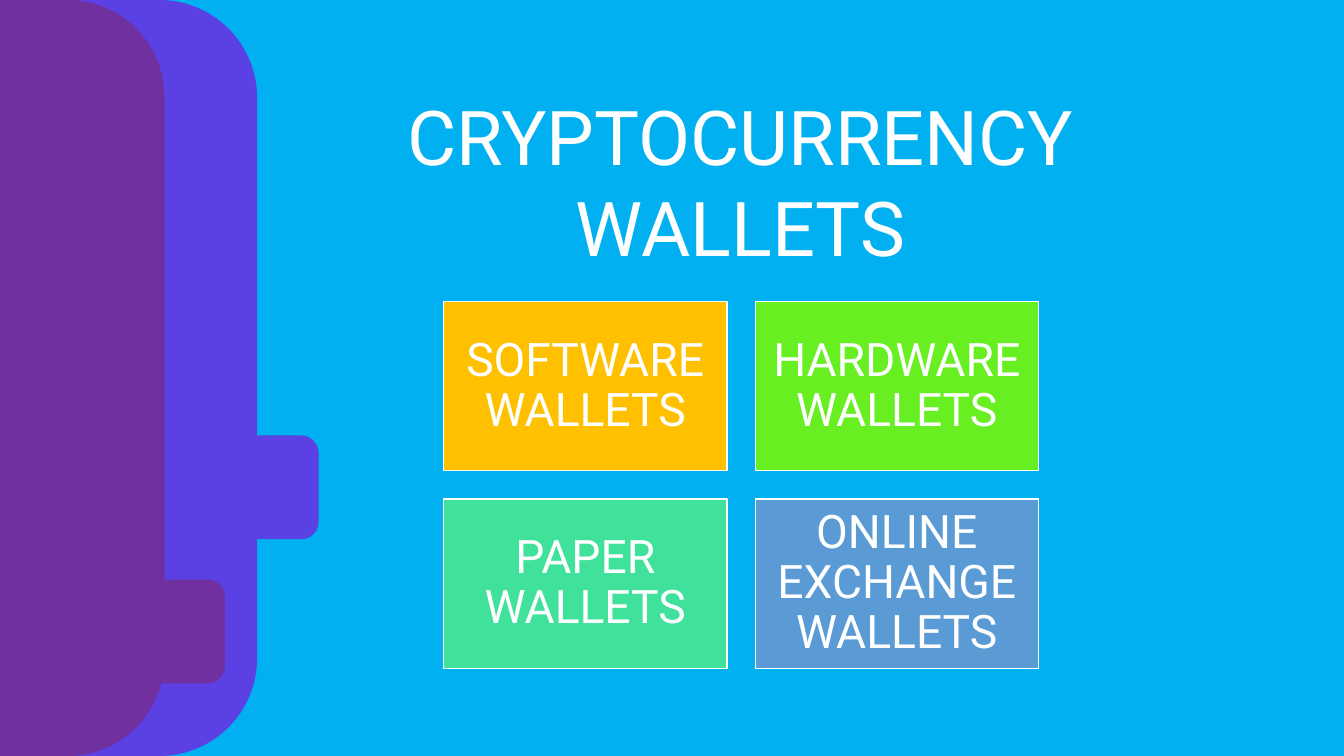
from dataclasses import dataclass

from pptx import Presentation
from pptx.dml.color import RGBColor
from pptx.enum.shapes import MSO_SHAPE
from pptx.enum.text import MSO_ANCHOR, MSO_AUTO_SIZE, PP_ALIGN
from pptx.util import Inches, Pt


@dataclass(frozen=True)
class Theme:
    font: str = "Roboto"
    title_size: int = 54
    card_size: int = 33
    text: str = "FFFFFF"
    background: str = "00B0F0"
    back_panel: str = "5B40E3"
    front_panel: str = "7030A0"
    software: str = "FFC000"
    hardware: str = "67EF21"
    paper: str = "3FE19B"
    online: str = "5B9BD5"


THEME = Theme()

CARDS = [
    ("SOFTWARE WALLETS", THEME.software),
    ("HARDWARE WALLETS", THEME.hardware),
    ("PAPER WALLETS", THEME.paper),
    ("ONLINE EXCHANGE WALLETS", THEME.online),
]
COLUMNS = 2
CARD_LEFT, CARD_TOP = 4.4, 2.99
CARD_WIDTH, CARD_HEIGHT, CARD_GAP = 2.81, 1.68, 0.28


def add_filled(slide, preset, box, color):
    shape = slide.shapes.add_shape(preset, *(Inches(length) for length in box))
    shape.shadow.inherit = False
    shape.fill.solid()
    shape.fill.fore_color.rgb = RGBColor.from_string(color)
    shape.line.fill.background()
    return shape


def add_panel(slide, body, tab, color):
    """Draw a rounded side panel with the tab that sticks out of its right edge."""
    for box in (body, tab):
        add_filled(slide, MSO_SHAPE.ROUNDED_RECTANGLE, box, color)


def set_text(frame, text, size, line_spacing):
    frame.text = text
    frame.word_wrap = True
    paragraph = frame.paragraphs[0]
    paragraph.alignment = PP_ALIGN.CENTER
    paragraph.line_spacing = line_spacing
    paragraph.font.name = THEME.font
    paragraph.font.size = Pt(size)
    paragraph.font.color.rgb = RGBColor.from_string(THEME.text)


def add_title(slide, text):
    title = slide.shapes.title
    title.left, title.top = Inches(3.79), Inches(0.84)
    title.width, title.height = Inches(7.11), Inches(1.92)
    frame = title.text_frame
    frame.auto_size = MSO_AUTO_SIZE.NONE
    frame.vertical_anchor = MSO_ANCHOR.TOP
    set_text(frame, text, THEME.title_size, 1.0)


def add_card(slide, index, label, color):
    row, column = divmod(index, COLUMNS)
    left = CARD_LEFT + column * (CARD_WIDTH + CARD_GAP)
    top = CARD_TOP + row * (CARD_HEIGHT + CARD_GAP)
    card = add_filled(slide, MSO_SHAPE.RECTANGLE, (left, top, CARD_WIDTH, CARD_HEIGHT), color)
    card.line.color.rgb = RGBColor.from_string(THEME.text)
    card.line.width = Pt(1)
    frame = card.text_frame
    frame.margin_left = frame.margin_right = Inches(0.14)
    frame.margin_top = frame.margin_bottom = Inches(0.14)
    frame.vertical_anchor = MSO_ANCHOR.MIDDLE
    set_text(frame, label, THEME.card_size, 0.9)


def main():
    deck = Presentation()
    deck.slide_width, deck.slide_height = Inches(13.33), Inches(7.5)
    slide = deck.slides.add_slide(deck.slide_layouts[5])
    slide.background.fill.solid()
    slide.background.fill.fore_color.rgb = RGBColor.from_string(THEME.background)

    add_panel(slide, (-3.27, 0, 5.82, 7.5), (1.95, 4.32, 1.21, 1.03), THEME.back_panel)
    add_panel(slide, (-4.13, 0, 5.76, 7.5), (1.03, 5.75, 1.2, 1.03), THEME.front_panel)
    add_title(slide, "CRYPTOCURRENCY WALLETS")
    for index, (label, color) in enumerate(CARDS):
        add_card(slide, index, label, color)

    deck.save("out.pptx")


if __name__ == "__main__":
    main()
